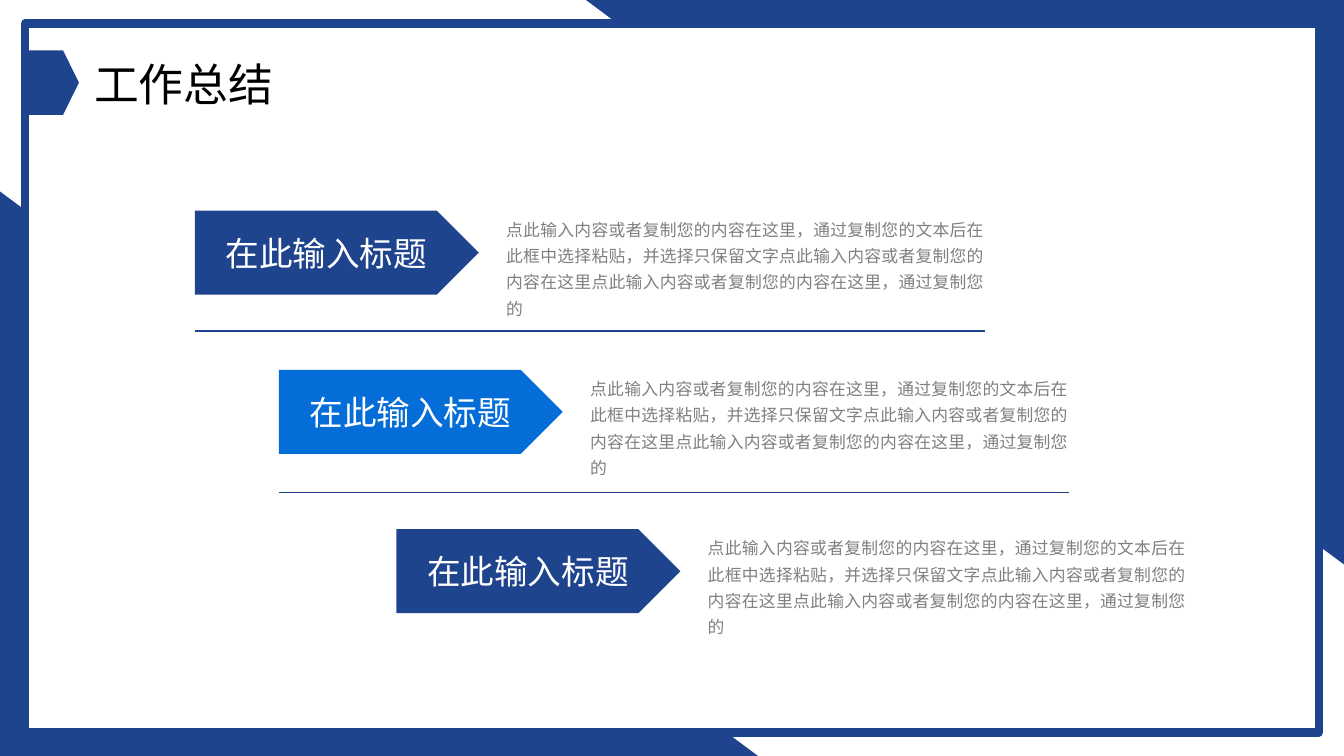
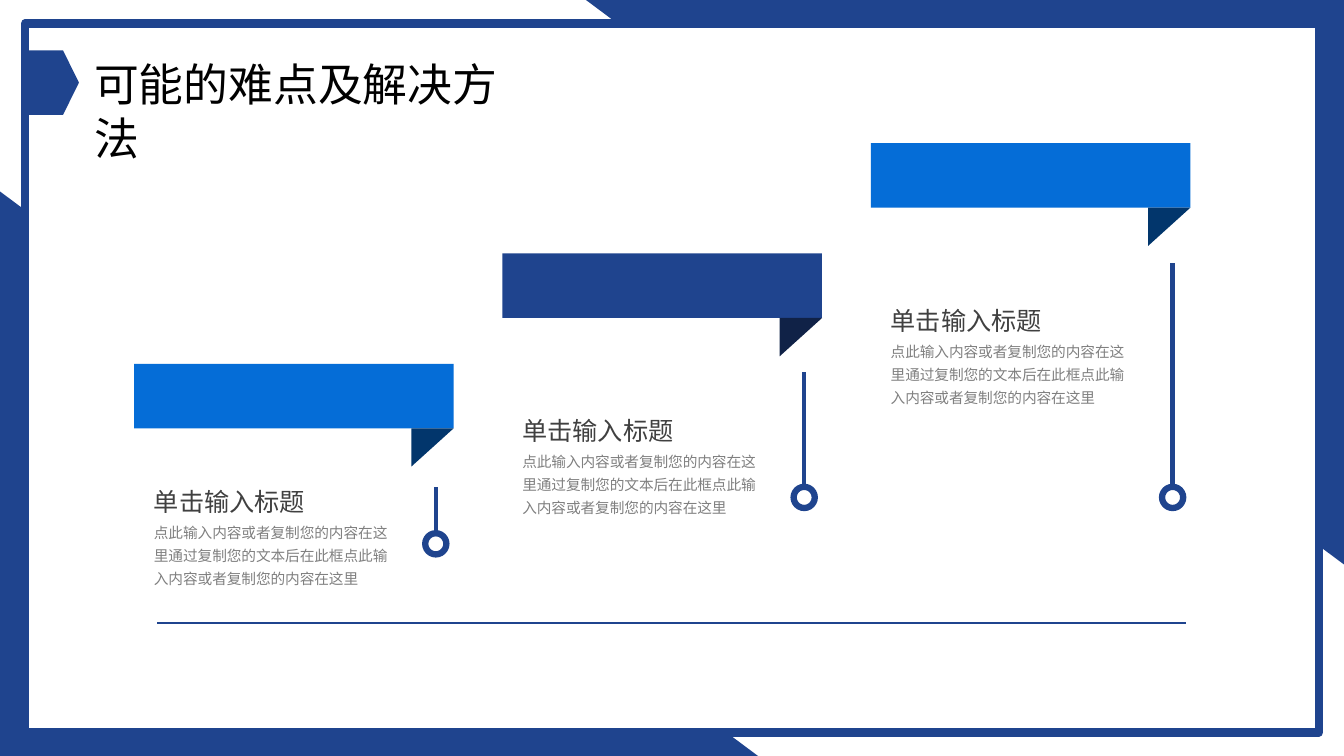
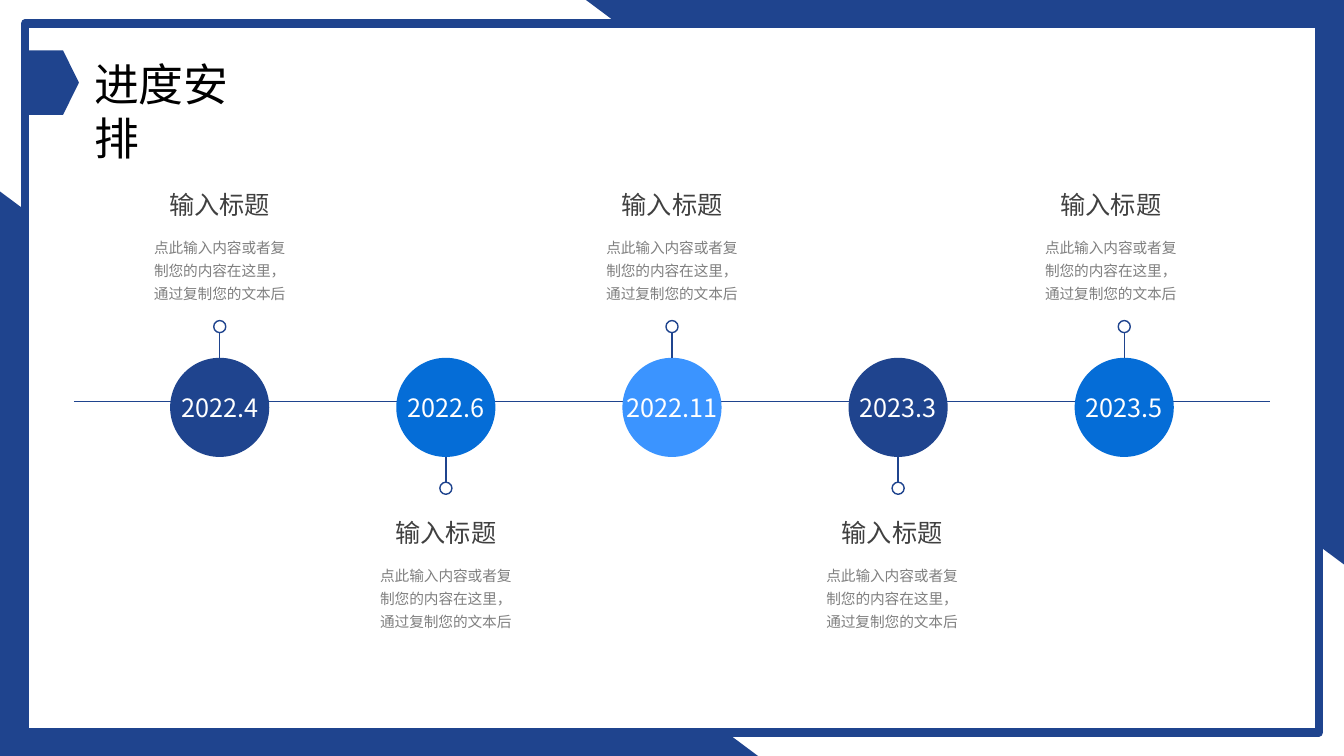
from dataclasses import dataclass
from typing import NamedTuple

from lxml import etree
from pptx import Presentation
from pptx.dml.color import RGBColor
from pptx.enum.shapes import MSO_CONNECTOR, MSO_SHAPE
from pptx.enum.text import MSO_ANCHOR, MSO_AUTO_SIZE, PP_ALIGN
from pptx.oxml.ns import qn
from pptx.util import Emu, Inches, Pt

STRAIGHT = MSO_CONNECTOR.STRAIGHT
RECT, ELLIPSE, ARROW_TAG, CORNER = (
    MSO_SHAPE.RECTANGLE, MSO_SHAPE.OVAL, MSO_SHAPE.PENTAGON, MSO_SHAPE.RIGHT_TRIANGLE)
LEFT, CENTER, JUSTIFY = PP_ALIGN.LEFT, PP_ALIGN.CENTER, PP_ALIGN.JUSTIFY
TOP, MIDDLE = MSO_ANCHOR.TOP, MSO_ANCHOR.MIDDLE
NO_AUTOFIT = MSO_AUTO_SIZE.NONE

# The slide is a grid of square cells, 80 columns by 45 rows.
COLS, ROWS = 80, 45
CELL = Inches(7.5) / ROWS
TITLE_ONLY = 5


@dataclass(frozen=True)
class Theme:
    font: str = "Noto Sans CJK JP"
    navy: str = "1F448E"
    blue: str = "056DD7"
    sky: str = "3B94FF"
    navy_fold: str = "102247"
    blue_fold: str = "02366C"
    white: str = "FFFFFF"
    black: str = "000000"
    heading: str = "404040"
    body: str = "808080"
    title_size: float = 32
    tag_size: float = 24
    heading_size: float = 18
    body_size: float = 12
    small_size: float = 10.5
    single: float = 1.2
    loose: float = 1.56


THEME = Theme()


class Box(NamedTuple):
    """Left, top, width and height in grid cells."""
    left: float
    top: float
    width: float
    height: float

    def emu(self) -> list[Emu]:
        return [cells(value) for value in self]


class TextStyle(NamedTuple):
    size: float
    color: str
    align: PP_ALIGN = LEFT
    spacing: float = THEME.single
    anchor: MSO_ANCHOR = TOP
    inset: bool = True
    wrap: bool = True


TITLE = TextStyle(THEME.title_size, THEME.black)
TAG = TextStyle(THEME.tag_size, THEME.white, CENTER, anchor=MIDDLE, wrap=False)
SUMMARY = TextStyle(THEME.body_size, THEME.body, JUSTIFY, THEME.loose)
CARD_HEADING = TextStyle(THEME.heading_size, THEME.heading, inset=False)
CARD_BODY = TextStyle(THEME.small_size, THEME.body, spacing=THEME.loose, inset=False)
DATE = TextStyle(THEME.heading_size, THEME.white, CENTER, anchor=MIDDLE,
                 inset=False, wrap=False)
STAGE_HEADING = TextStyle(THEME.heading_size, THEME.heading, CENTER)
STAGE_BODY = TextStyle(THEME.small_size, THEME.body, CENTER, THEME.loose)


@dataclass(frozen=True)
class SummaryStep:
    left: float
    color: str
    rule_row: float | None = None


@dataclass(frozen=True)
class Difficulty:
    color: str
    fold_color: str
    heading_row: float
    stem_row: float
    ring_row: float


@dataclass(frozen=True)
class Stage:
    date: str
    color: str
    above: bool
    caption_shift: float = 0


SUMMARY_HEADING = "在此输入标题"
SUMMARY_TEXT = ("点此输入内容或者复制您的内容在这里，通过复制您的文本后在此框中选择粘贴，"
                "并选择只保留文字点此输入内容或者复制您的内容在这里"
                "点此输入内容或者复制您的内容在这里，通过复制您的")
SUMMARY_STEPS = (
    SummaryStep(11.6, THEME.navy, 19.7),
    SummaryStep(16.6, THEME.blue, 29.3),
    SummaryStep(23.6, THEME.navy),
)

DIFFICULTY_HEADING = "单击输入标题"
DIFFICULTY_TEXT = ("点此输入内容或者复制您的内容在这里通过复制您的文本后在此框"
                   "点此输入内容或者复制您的内容在这里")
DIFFICULTIES = (
    Difficulty(THEME.blue, THEME.blue_fold, 28.92, 28.98, 31.74),
    Difficulty(THEME.navy, THEME.navy_fold, 24.72, 22.14, 28.98),
    Difficulty(THEME.blue, THEME.blue_fold, 18.18, 15.66, 28.98),
)

STAGE_TITLE = "输入标题"
STAGE_TEXT = "点此输入内容或者复制您的内容在这里，通过复制您的文本后"
STAGES = (
    Stage("2022.4", THEME.navy, True),
    Stage("2022.6", THEME.blue, False),
    Stage("2022.11", THEME.sky, True),
    Stage("2023.3", THEME.navy, False, -0.36),
    Stage("2023.5", THEME.blue, True, -0.8),
)


def cells(count: float) -> Emu:
    return Emu(round(count * CELL))


def rgb(color: str) -> RGBColor:
    return RGBColor.from_string(color)


def write(shape, text: str, style: TextStyle) -> None:
    frame = shape.text_frame
    frame_format = {"auto_size": NO_AUTOFIT, "word_wrap": style.wrap,
                    "vertical_anchor": style.anchor}
    if not style.inset:
        frame_format |= dict.fromkeys(
            ("margin_left", "margin_top", "margin_right", "margin_bottom"), 0)
    paragraph = frame.paragraphs[0]
    run = paragraph.add_run()
    run.text = text
    formats = (
        (frame, frame_format),
        (paragraph, {"alignment": style.align,
                     "line_spacing": Pt(style.size * style.spacing)}),
        (run.font, {"size": Pt(style.size), "name": THEME.font, "bold": False}),
    )
    for target, values in formats:
        for attribute, value in values.items():
            setattr(target, attribute, value)
    run.font.color.rgb = rgb(style.color)
    east_asian = etree.SubElement(run._r.get_or_add_rPr(), qn("a:ea"))
    east_asian.set("typeface", THEME.font)


def add_text(slide, box: Box, text: str, style: TextStyle) -> None:
    write(slide.shapes.add_textbox(*box.emu()), text, style)


def add_block(slide, kind, box: Box, fill: str | None,
              line: str | None = None, line_width: float = 1):
    block = slide.shapes.add_shape(kind, *box.emu())
    block.shadow.inherit = False
    if fill:
        block.fill.solid()
        block.fill.fore_color.rgb = rgb(fill)
    else:
        block.fill.background()
    if line:
        block.line.color.rgb = rgb(line)
        block.line.width = Pt(line_width)
    else:
        block.line.fill.background()
    return block


def add_line(slide, start: tuple[float, float], end: tuple[float, float],
             width: float = 1) -> None:
    points = [cells(value) for value in (*start, *end)]
    line = slide.shapes.add_connector(STRAIGHT, *points)
    line.line.color.rgb = rgb(THEME.navy)
    line.line.width = Pt(width)
    etree.SubElement(line._element.spPr, qn("a:effectLst"))


def add_ring(slide, center: float, top: float, size: float, width: float) -> None:
    add_block(slide, ELLIPSE, Box(center - size / 2, top, size, size),
              None, THEME.navy, width)


def decorate_layout(layout, slide) -> None:
    """Draw the frame on a slide, then move it behind everything in its layout."""
    width, height = 45.12, 33.6
    upper = add_block(slide, CORNER, Box(COLS - width, 0, width, height), THEME.navy)
    upper.rotation = 180
    lower = add_block(slide, CORNER, Box(0, ROWS - height, width, height), THEME.navy)
    frame = add_block(slide, RECT, Box(1.5, 1.4, 77, 42.2),
                      THEME.white, THEME.navy, 6)
    for index, part in enumerate((upper, lower, frame), start=2):
        layout.shapes._spTree.insert(index, part._element)


def add_titled_slide(prs, title: str, title_width: float):
    slide = prs.slides.add_slide(prs.slide_layouts[TITLE_ONLY])
    heading = slide.shapes.title
    box = Box(5, 3.1, title_width, 3.84)
    for side, value in zip(box._fields, box.emu()):
        setattr(heading, side, value)
    write(heading, title, TITLE)
    tag = add_block(slide, ARROW_TAG, Box(1.7, 3, 3, 3.84), THEME.navy)
    tag.adjustments[0] = 0.315
    return slide


def draw_summary(slide) -> None:
    for index, step in enumerate(SUMMARY_STEPS):
        top = 12.54 + 9.48 * index
        tag = add_block(slide, ARROW_TAG, Box(step.left, top, 16.9, 5), step.color)
        write(tag, SUMMARY_HEADING, TAG)
        add_text(slide, Box(step.left + 17.94, top - 0.12, 29.64, 5.2),
                 SUMMARY_TEXT, SUMMARY)
        if step.rule_row is not None:
            add_line(slide, (step.left, step.rule_row),
                     (step.left + 47.04, step.rule_row))


def draw_difficulties(slide) -> None:
    banner_width, banner_height, fold_width, ring = 19.02, 3.84, 2.52, 1.26
    for index, item in enumerate(DIFFICULTIES):
        left, top = 7.98 + 21.93 * index, 21.66 - 6.57 * index
        add_block(slide, RECT, Box(left, top, banner_width, banner_height), item.color)
        fold = add_block(slide, CORNER,
                         Box(left + banner_width - fold_width, top + banner_height,
                             fold_width, 2.28), item.fold_color)
        fold._element.spPr.find(qn("a:xfrm")).set("flipV", "1")
        text_left = left + 1.18
        add_text(slide, Box(text_left, item.heading_row, 9.3, 1.8),
                 DIFFICULTY_HEADING, CARD_HEADING)
        add_text(slide, Box(text_left, item.heading_row + 1.94, 14.1, 4.02),
                 DIFFICULTY_TEXT, CARD_BODY)
        center = left + 17.96
        add_ring(slide, center, item.ring_row, ring, 4.5)
        add_line(slide, (center, item.ring_row), (center, item.stem_row), 3)
    add_line(slide, (9.36, 37.08), (70.62, 37.08))


def draw_schedule(slide) -> None:
    disc, disc_top, pin, ring = 5.9, 21.3, 1.5, 0.72
    add_line(slide, (4.4, 23.9), (75.6, 23.9))
    for index, stage in enumerate(STAGES):
        center = COLS / 2 + 13.46 * (index - (len(STAGES) - 1) / 2)
        circle = add_block(slide, ELLIPSE,
                           Box(center - disc / 2, disc_top, disc, disc), stage.color)
        write(circle, stage.date, DATE)
        if stage.above:
            pin_start, caption_top = disc_top, 10.98
            pin_end = pin_start - pin
            ring_top = pin_end - ring
        else:
            pin_start, caption_top = disc_top + disc, 30.48
            pin_end = ring_top = pin_start + pin
        add_line(slide, (center, pin_start), (center, pin_end))
        add_ring(slide, center, ring_top, ring, 1)
        middle = center + stage.caption_shift
        add_text(slide, Box(middle - 5.37, caption_top, 10.74, 2.4),
                 STAGE_TITLE, STAGE_HEADING)
        add_text(slide, Box(middle - 4.56, caption_top + 2.64, 9.12, 4.62),
                 STAGE_TEXT, STAGE_BODY)


def main() -> None:
    prs = Presentation()
    prs.slide_width, prs.slide_height = cells(COLS), cells(ROWS)
    summary = add_titled_slide(prs, "工作总结", 12)
    decorate_layout(prs.slide_layouts[TITLE_ONLY], summary)
    draw_summary(summary)
    draw_difficulties(add_titled_slide(prs, "可能的难点及解决方法", 27.7))
    draw_schedule(add_titled_slide(prs, "进度安排", 11.7))
    prs.save("out.pptx")


if __name__ == "__main__":
    main()
